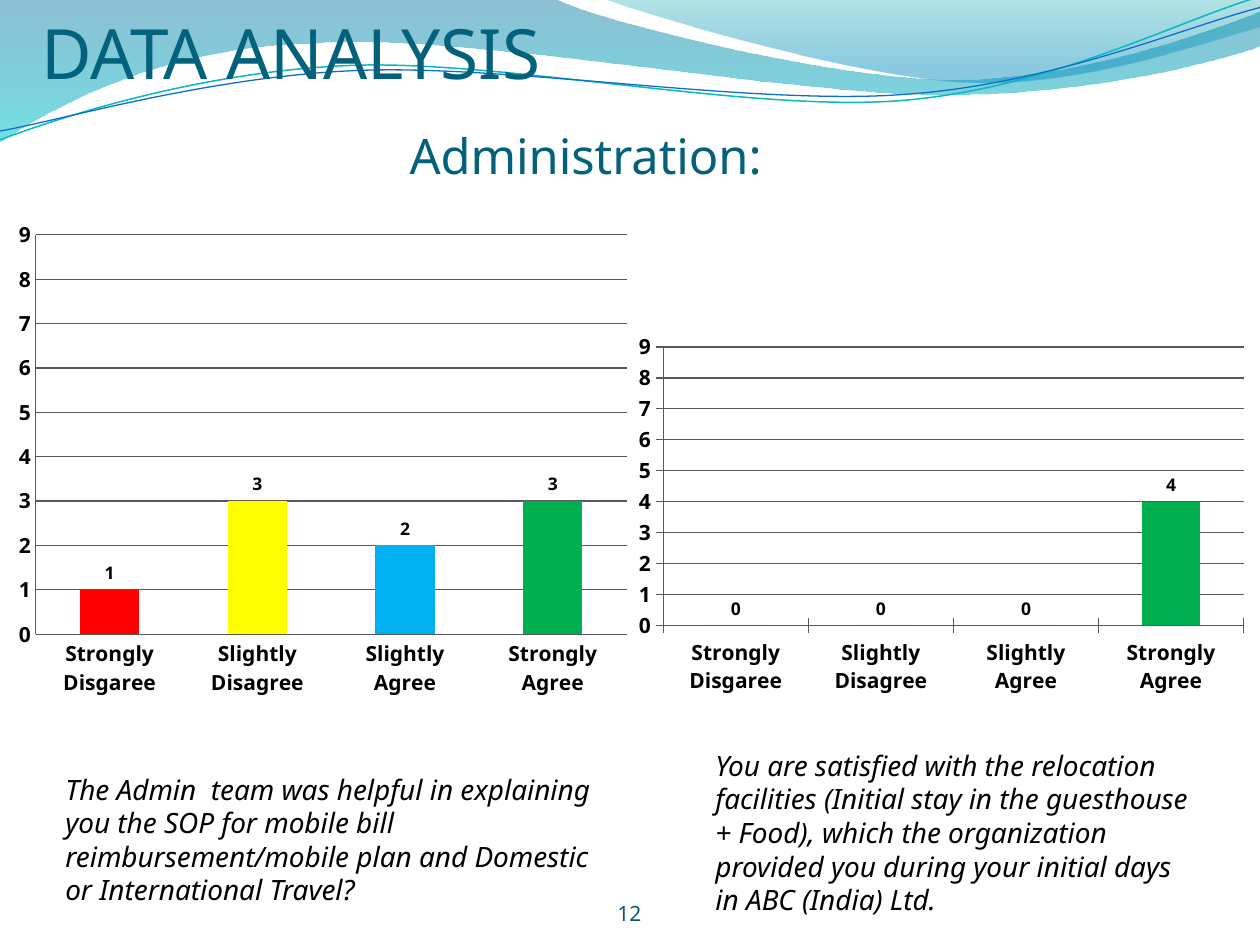
from dataclasses import dataclass, field
from math import cos, radians, sin
from typing import Optional

from pptx import Presentation
from pptx.chart.data import CategoryChartData
from pptx.dml.color import RGBColor
from pptx.enum.chart import XL_CHART_TYPE, XL_LABEL_POSITION, XL_TICK_MARK
from pptx.enum.text import MSO_ANCHOR, MSO_AUTO_SIZE, PP_ALIGN
from pptx.oxml import parse_xml
from pptx.oxml.ns import nsdecls, qn
from pptx.util import Inches, Pt

FONT = "Noto Sans"
BLACK = RGBColor(0x00, 0x00, 0x00)
TITLE_BLUE = RGBColor(0x04, 0x61, 0x7B)
NUMBER_BLUE = RGBColor(0x04, 0x5D, 0x75)
AXIS_GRAY = RGBColor(0x59, 0x59, 0x59)
RED = RGBColor(0xFF, 0x00, 0x00)
YELLOW = RGBColor(0xFF, 0xFF, 0x00)
BLUE = RGBColor(0x00, 0xB0, 0xF0)
GREEN = RGBColor(0x00, 0xB0, 0x50)
WAVE_TEAL = RGBColor(0x0A, 0xB8, 0xBF)
WAVE_BLUE = RGBColor(0x0F, 0x6F, 0xC6)
CATEGORIES = ["Strongly Disgaree", "Slightly Disagree", "Slightly Agree", "Strongly Agree"]
LINE_TILT = -2.7  # degrees


@dataclass
class Stop:
    position: float
    color: RGBColor
    opacity: int


@dataclass
class Wave:
    """Steps hold two numbers for a straight line, six for a Bezier curve."""
    start: tuple
    steps: list
    stops: list = field(default_factory=list)
    line: Optional[RGBColor] = None
    width: float = 0
    center: tuple = (0, 0)
    tilt: float = 0


@dataclass
class Caption:
    box: tuple
    text: str
    size: float = 16
    color: RGBColor = BLACK
    italic: bool = True
    align: PP_ALIGN = PP_ALIGN.LEFT
    anchor: MSO_ANCHOR = MSO_ANCHOR.TOP
    margins: tuple = (0.1, 0.05)


@dataclass
class Survey:
    box: tuple
    values: tuple
    colors: list
    tick: XL_TICK_MARK
    number_format: str
    plot_area: Optional[tuple] = None


WAVES = [
    Wave((0, 0), [(4.4, -0.01), (4.76, 0.17, 6.64, 0.63, 7.58, 0.63),
                  (8.53, 0.63, 9.58, 0.26, 10, 0.09), (10.01, 0.36),
                  (9.83, 0.44, 8.7, 0.76, 7.46, 0.75), (6.22, 0.75, 3.82, 0.28, 2.57, 0.34),
                  (1.29, 0.36, 0.46, 0.83, -0.01, 1.13)],
         stops=[Stop(0, RGBColor(0x00, 0x74, 0xA1), 45), Stop(1, RGBColor(0x00, 0xC6, 0xCF), 55)]),
    Wave((4.79, -0.01), [(5.09, 0.11, 6.82, 0.62, 7.69, 0.65),
                         (8.56, 0.69, 9.61, 0.32, 10, 0.21), (10, 0)],
         stops=[Stop(0, RGBColor(0x00, 0xA1, 0xA9), 30), Stop(0.8, RGBColor(0x00, 0x8B, 0xBF), 45)]),
    Wave((0, 1.11), [(0.48, 0.93, 1.58, 0.57, 2.77, 0.52), (3.95, 0.47, 5.93, 0.89, 7.13, 0.8),
                     (8.33, 0.71, 9.38, 0.15, 9.98, -0.02)],
         line=WAVE_TEAL, width=0.85, center=(4.99, 0.57), tilt=LINE_TILT),
    Wave((0, 1.04), [(0.47, 0.96, 1.64, 0.61, 2.83, 0.56), (4.03, 0.51, 5.97, 0.84, 7.17, 0.75),
                     (8.36, 0.67, 9.41, 0.21, 10, 0.06)],
         line=WAVE_BLUE, width=0.75, center=(5, 0.59), tilt=LINE_TILT),
]
CAPTIONS = [
    Caption((4.58, 6.95, 0.83, 0.4), "12", 12, NUMBER_BLUE, False,
            PP_ALIGN.CENTER, MSO_ANCHOR.BOTTOM, (0, 0)),
    Caption((0.42, 6.08, 4.42, 1.18),
            "The Admin  team was helpful in explaining you the SOP for mobile bill "
            "reimbursement/mobile plan and Domestic or International Travel?"),
    Caption((5.58, 5.89, 4, 1.45),
            "You are satisfied with the relocation facilities (Initial stay in the guesthouse "
            "+ Food), which the organization provided you during your initial days "
            "in ABC (India) Ltd."),
]
SURVEYS = [
    Survey((0, 1.75, 5.17, 3.92), (1, 3, 2, 3), [RED, YELLOW, BLUE, GREEN],
           XL_TICK_MARK.NONE, "0", (0.055, 0.024, 0.907, 0.813)),
    Survey((4.97, 2.58, 5, 3), (0, 0, 0, 4), [GREEN] * 4, XL_TICK_MARK.CROSS, "#,##0"),
]


def inches(box: tuple) -> list:
    return [Inches(length) for length in box]


def level_points(wave: Wave, numbers: tuple) -> list:
    """Pair the numbers into points, with the wave's tilt taken out."""
    (cx, cy), angle = wave.center, radians(-wave.tilt)
    offsets = [(x - cx, y - cy) for x, y in zip(numbers[::2], numbers[1::2])]
    return [(Inches(cx + dx * cos(angle) - dy * sin(angle)),
             Inches(cy + dx * sin(angle) + dy * cos(angle))) for dx, dy in offsets]


def add_wave(slide, wave: Wave) -> None:
    start = level_points(wave, wave.start)[0]
    steps = [level_points(wave, step) for step in wave.steps]
    builder = slide.shapes.build_freeform(*start)
    builder.add_line_segments([points[-1] for points in steps], close=bool(wave.stops))
    shape = builder.convert_to_shape()
    # Bend the segments that have control points
    for segment, points in zip(list(shape.element.iter(qn("a:lnTo"))), steps):
        if len(points) == 3:
            places = "".join(f'<a:pt x="{x - shape.left}" y="{y - shape.top}"/>' for x, y in points)
            curve = parse_xml(f'<a:cubicBezTo {nsdecls("a")}>{places}</a:cubicBezTo>')
            segment.getparent().replace(segment, curve)
    shape.rotation = wave.tilt
    shape.shadow.inherit = False
    if wave.line is not None:
        shape.fill.background()
        shape.line.color.rgb = wave.line
        shape.line.width = Pt(wave.width)
        return
    shape.line.fill.background()
    shape.fill.gradient()
    shape.fill.gradient_angle = 270
    for gradient_stop, stop in zip(shape.fill.gradient_stops, wave.stops):
        gradient_stop.position = stop.position
        gradient_stop.color.rgb = stop.color
    for color, stop in zip(shape.element.spPr.iter(qn("a:srgbClr")), wave.stops):
        color.append(parse_xml(f'<a:alpha {nsdecls("a")} val="{stop.opacity * 1000}"/>'))


def add_title(slide) -> None:
    title = slide.shapes.title
    slide.shapes.element.append(title.element)  # in front of the waves
    title.left, title.top, title.width, title.height = inches((0.33, 0.25, 9.08, 1.25))
    frame = title.text_frame
    frame.auto_size = MSO_AUTO_SIZE.NONE
    frame.vertical_anchor = MSO_ANCHOR.BOTTOM
    frame.margin_left = frame.margin_right = 0
    frame.margin_bottom = Inches(0.04)
    frame.text = "DATA ANALYSIS\nAdministration:"
    heading, subheading = frame.paragraphs
    for paragraph, size in ((heading, 39.6), (subheading, 27.9)):
        paragraph.alignment = PP_ALIGN.LEFT
        paragraph.font.name = FONT
        paragraph.font.size = Pt(size)
        paragraph.font.color.rgb = TITLE_BLUE
    subheading.space_before = Pt(18)
    subheading._p.get_or_add_pPr().set("marL", str(Inches(2.92)))


def add_caption(slide, caption: Caption) -> None:
    frame = slide.shapes.add_textbox(*inches(caption.box)).text_frame
    frame.word_wrap = True
    frame.vertical_anchor = caption.anchor
    frame.margin_left = frame.margin_right = Inches(caption.margins[0])
    frame.margin_top = frame.margin_bottom = Inches(caption.margins[1])
    paragraph = frame.paragraphs[0]
    paragraph.text = caption.text
    paragraph.alignment = caption.align
    paragraph.font.name = FONT
    paragraph.font.size = Pt(caption.size)
    paragraph.font.italic = caption.italic
    paragraph.font.color.rgb = caption.color


def set_font(font, size: float, bold: bool) -> None:
    font.name, font.size, font.bold = FONT, Pt(size), bold
    font.color.rgb = BLACK


def set_plot_area(chart, plot_area: tuple) -> None:
    area = chart.element.find(".//" + qn("c:plotArea"))
    for old_layout in area.findall(qn("c:layout")):
        area.remove(old_layout)
    modes = '<c:xMode val="edge"/><c:yMode val="edge"/>'
    sizes = "".join(f'<c:{name} val="{value}"/>' for name, value in zip("xywh", plot_area))
    area.insert(0, parse_xml(
        f'<c:layout {nsdecls("c")}><c:manualLayout><c:layoutTarget val="inner"/>'
        f"{modes}{sizes}</c:manualLayout></c:layout>"))


def add_survey(slide, survey: Survey) -> None:
    data = CategoryChartData()
    data.categories = CATEGORIES
    data.add_series("Series 1", survey.values)
    chart = slide.shapes.add_chart(XL_CHART_TYPE.COLUMN_CLUSTERED, *inches(survey.box), data).chart
    chart.has_legend = chart.has_title = False
    set_font(chart.font, 10, False)
    # Axes
    for axis in (chart.category_axis, chart.value_axis):
        axis.major_tick_mark = survey.tick
        axis.minor_tick_mark = XL_TICK_MARK.NONE
        axis.format.line.color.rgb = AXIS_GRAY
        set_font(axis.tick_labels.font, 12, True)
    values = chart.value_axis
    values.minimum_scale, values.maximum_scale, values.major_unit = 0, 9, 1
    values.major_gridlines.format.line.color.rgb = AXIS_GRAY
    values.tick_labels.number_format = survey.number_format
    values.tick_labels.number_format_is_linked = False
    # Columns
    plot = chart.plots[0]
    plot.gap_width = 150
    plot.vary_by_categories = False
    series = plot.series[0]
    series.format.fill.solid()
    series.format.fill.fore_color.rgb = survey.colors[0]
    for index, color in enumerate(survey.colors):
        if color != survey.colors[0]:
            fill = series.points[index].format.fill
            fill.solid()
            fill.fore_color.rgb = color
    labels = series.data_labels
    labels.show_value = True
    labels.position = XL_LABEL_POSITION.OUTSIDE_END
    set_font(labels.font, 10, True)
    if survey.plot_area:
        set_plot_area(chart, survey.plot_area)


def main() -> None:
    presentation = Presentation()
    presentation.slide_width, presentation.slide_height = Inches(10), Inches(7.5)
    slide = presentation.slides.add_slide(presentation.slide_layouts[5])
    for wave in WAVES:
        add_wave(slide, wave)
    add_title(slide)
    for caption in CAPTIONS:
        add_caption(slide, caption)
    for survey in SURVEYS:
        add_survey(slide, survey)
    presentation.save("out.pptx")


if __name__ == "__main__":
    main()
